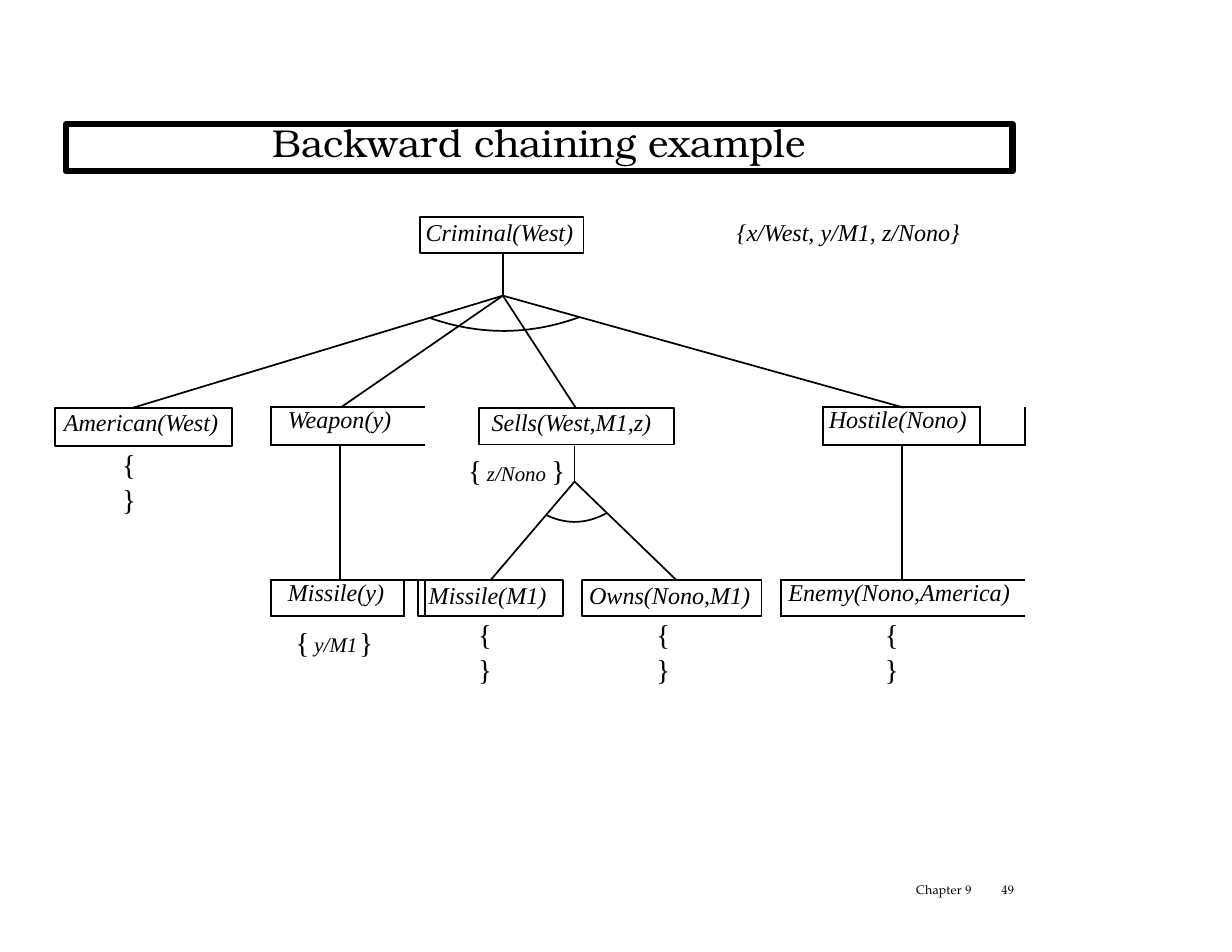
"""Build the slide with the backward chaining proof tree."""
from lxml.etree import SubElement
from pptx import Presentation
from pptx.dml.color import RGBColor
from pptx.enum.shapes import MSO_CONNECTOR as Connector, MSO_SHAPE as Shape
from pptx.enum.text import MSO_ANCHOR as Anchor, PP_ALIGN as Align
from pptx.oxml.ns import qn
from pptx.util import Inches, Pt

BLACK = RGBColor(0, 0, 0)
SERIF, TITLE_FONT, FOOTER_FONT = "Times New Roman", "TeX Gyre Bonum", "TeX Gyre Pagella"
NO_GRID = "{2D5ABB26-0587-4C30-8999-92F81FD0307C}"
THIN, CELL_LINE, TITLE_LINE = 1.11, 1.5, 4.08
BOX_TOP, LEAF_TOP, BOX_HEIGHT = 3.64, 5.18, 0.32
ROOT_FORK, SELLS_FORK = (4.49, 2.64), (5.13, 4.3)
TREE_ROWS = (0.34, 1.21, 0.32)
BRACE = dict(size=18.5, italic=False, spacing=-1.4)
BINDING = dict(size=23.2, baseline=2000)


def write(frame, *runs, margin=0.01, inset=0, align=Align.LEFT, line=None, **style):
    """Fill a text frame with runs, each a text or a (text, format) pair."""
    frame.word_wrap = True
    frame.vertical_anchor = Anchor.TOP
    frame.margin_left, frame.margin_top = Inches(margin), Inches(inset)
    frame.margin_right = frame.margin_bottom = 0
    paragraph = frame.paragraphs[0]
    paragraph.alignment = align
    if line:
        paragraph.line_spacing = Pt(line)
    for item in runs:
        text, extra = (item, {}) if isinstance(item, str) else item
        add_run(paragraph, text, **{**style, **extra})


def add_run(paragraph, text, size=15.5, font=SERIF, italic=True, spacing=0, baseline=0):
    """Append one formatted run to a paragraph."""
    run = paragraph.add_run()
    run.text = text
    run.font.size, run.font.name, run.font.italic = Pt(size), font, italic
    run.font.color.rgb = BLACK
    properties = run.font._element
    if spacing:
        properties.set("spc", str(round(spacing * 100)))
    if baseline:
        properties.set("baseline", str(baseline))


def outline(shape, width=THIN):
    """Give a shape a black outline without fill."""
    shape.fill.background()
    shape.line.color.rgb = BLACK
    shape.line.width = Pt(width)


def add_text(slide, left, top, width, height, *runs, **style):
    """Add a text box."""
    box = slide.shapes.add_textbox(*map(Inches, (left, top, width, height)))
    write(box.text_frame, *runs, **style)


def add_goal(slide, text, left, top, width, margin, height=BOX_HEIGHT):
    """Add a framed goal of the proof tree."""
    goal = slide.shapes.add_shape(Shape.RECTANGLE, *map(Inches, (left, top, width, height)))
    goal.shadow.inherit = False
    outline(goal)
    write(goal.text_frame, text, margin=margin)


def add_branch(slide, start, end):
    """Add a straight branch between two points."""
    branch = slide.shapes.add_connector(Connector.STRAIGHT, *map(Inches, (*start, *end)))
    branch.line.color.rgb = BLACK
    branch.line.width = Pt(THIN)
    SubElement(branch._element.spPr, qn("a:effectLst"))


def add_arc(slide, start, end, sag, steps=20):
    """Add the shallow arc that joins the branches of a conjunction."""
    points = []
    for step in range(steps + 1):
        share = step / steps
        x = start[0] + share * (end[0] - start[0])
        y = start[1] + share * (end[1] - start[1]) + 4 * sag * share * (1 - share)
        points.append((Inches(x), Inches(y)))
    builder = slide.shapes.build_freeform(*points[0])
    builder.add_line_segments(points[1:], close=False)
    arc = builder.convert_to_shape()
    arc.shadow.inherit = False
    outline(arc)


def add_borders(cell, edges):
    """Draw the edges of a cell named by the letters L, R, T and B."""
    properties = cell._tc.get_or_add_tcPr()
    lines = []
    for edge in "LRTB":
        if edge in edges:
            line = SubElement(properties, qn(f"a:ln{edge}"), w=str(Pt(CELL_LINE)))
            fill = SubElement(line, qn("a:solidFill"))
            SubElement(fill, qn("a:srgbClr"), val=str(BLACK))
            lines.append(line)
    for position, line in enumerate(lines):
        properties.insert(position, line)


def add_tree_table(slide, left, columns, spans, borders, goals):
    """Add a goal above its subgoal as a table with selected cell edges."""
    frame = slide.shapes.add_table(len(TREE_ROWS), len(columns), Inches(left), Inches(3.63),
                                   Inches(sum(columns)), Inches(sum(TREE_ROWS)))
    table = frame.table
    table.first_row = table.horz_banding = False
    table._tbl.tblPr.find(qn("a:tableStyleId")).text = NO_GRID
    for column, width in zip(table.columns, columns):
        column.width = Inches(width)
    for row, height in zip(table.rows, TREE_ROWS):
        row.height = Inches(height)
    for row, first, last in spans:
        table.cell(row, first).merge(table.cell(row, last))
    for row, row_borders in enumerate(borders):
        for column, edges in enumerate(row_borders):
            cell = table.cell(row, column)
            cell.margin_left = cell.margin_right = cell.margin_top = cell.margin_bottom = 0
            cell.fill.background()
            add_borders(cell, edges)
    for row, column, text, margin in goals:
        cell = table.cell(row, column)
        write(cell.text_frame, text)
        cell.margin_left, cell.margin_top = Inches(margin), 0
        cell.margin_right = cell.margin_bottom = 0
        cell.vertical_anchor = Anchor.TOP


def add_title(slide):
    """Format the title placeholder as a framed heading."""
    title = slide.shapes.title
    title.left, title.top, title.width, title.height = map(Inches, (0.59, 1.11, 8.45, 0.42))
    outline(title, TITLE_LINE)
    write(title.text_frame, ("Backward ", {"spacing": 0.1}), ("chaining ", {"spacing": -0.2}),
          ("example", {"spacing": 0.2}), margin=0, align=Align.CENTER, line=26.4,
          size=25, font=TITLE_FONT, italic=False)


def add_tree(slide):
    """Draw the goals, the branches and the conjunction arcs."""
    add_tree_table(slide, 6.97, (0.38, 0.7, 0.7, 0.4),
                   [(0, 1, 2), (1, 0, 1), (1, 2, 3), (2, 0, 3)],
                   [("R", "LTB", "RTB", "LB"), ("B", "RB", "LB", "B"),
                    ("LTB", "TB", "TB", "RTB")],
                   [(0, 1, "Hostile(Nono)", 0.05), (2, 0, "Enemy(Nono,America)", 0.07)])
    add_tree_table(slide, 2.42, (0.62, 0.57, 0.07),
                   [(0, 0, 2), (1, 1, 2), (2, 0, 1)],
                   [("LTB", "TB", "RTB"), ("TRB", "LTB", "TB"), ("LTB", "RTB", "LT")],
                   [(0, 0, "Weapon(y)", 0.15), (2, 0, "Missile(y)", 0.15)])
    add_goal(slide, "Criminal(West)", 3.75, 1.94, 1.46, 0.05)
    add_goal(slide, "American(West)", 0.49, BOX_TOP, 1.58, 0.08, 0.34)
    add_goal(slide, "Sells(West,M1,z)", 4.28, BOX_TOP, 1.74, 0.11, 0.33)
    add_goal(slide, "Missile(M1)", 3.73, LEAF_TOP, 1.3, 0.1)
    add_goal(slide, "Owns(Nono,M1)", 5.2, LEAF_TOP, 1.6, 0.06)
    add_branch(slide, (ROOT_FORK[0], 2.26), ROOT_FORK)
    for x in (1.19, 3.04, 5.14, 8.07):
        add_branch(slide, ROOT_FORK, (x, BOX_TOP))
    add_branch(slide, (SELLS_FORK[0], 3.98), SELLS_FORK)
    for x in (4.38, 6.04):
        add_branch(slide, SELLS_FORK, (x, LEAF_TOP))
    add_arc(slide, (3.84, 2.84), (5.18, 2.83), 0.12)
    add_arc(slide, (4.88, 4.6), (5.42, 4.58), 0.07)


def add_substitutions(slide):
    """Add the bindings found for each goal."""
    add_text(slide, 6.57, 1.92, 2.04, 0.29, "{x/West, y/M1, z/Nono}", inset=0.02)
    for left, top in ((1.08, 3.96), (4.26, 5.48), (5.85, 5.48), (7.89, 5.48)):
        add_text(slide, left, top, 0.27, 0.34, "{ }", inset=0.03, **BRACE)
    add_text(slide, 2.63, 5.48, 0.75, 0.34, ("{ ", BRACE), ("y/M", BINDING),
             ("1", {**BINDING, "spacing": 1.3}), ("}", BRACE), inset=0.03)
    add_text(slide, 4.17, 3.95, 0.93, 0.34, ("{ ", BRACE), ("z/Nono ", BINDING),
             ("}", BRACE), inset=0.03)


def add_footer(slide):
    """Add the chapter and the page number."""
    style = dict(size=8, font=FOOTER_FONT, italic=False, line=8.8)
    add_text(slide, 8.17, 7.89, 0.54, 0.14, ("Chapter", {"spacing": 0.1}),
             (" 9", {"spacing": 0.2}), **style)
    add_text(slide, 8.9, 7.89, 0.21, 0.14, "49", margin=0.04, spacing=0.2, **style)


def main():
    """Create and save the presentation."""
    presentation = Presentation()
    presentation.slide_width, presentation.slide_height = Inches(11), Inches(8.5)
    slide = presentation.slides.add_slide(presentation.slide_layouts[5])
    add_title(slide)
    add_tree(slide)
    add_substitutions(slide)
    add_footer(slide)
    presentation.save("out.pptx")


if __name__ == "__main__":
    main()
